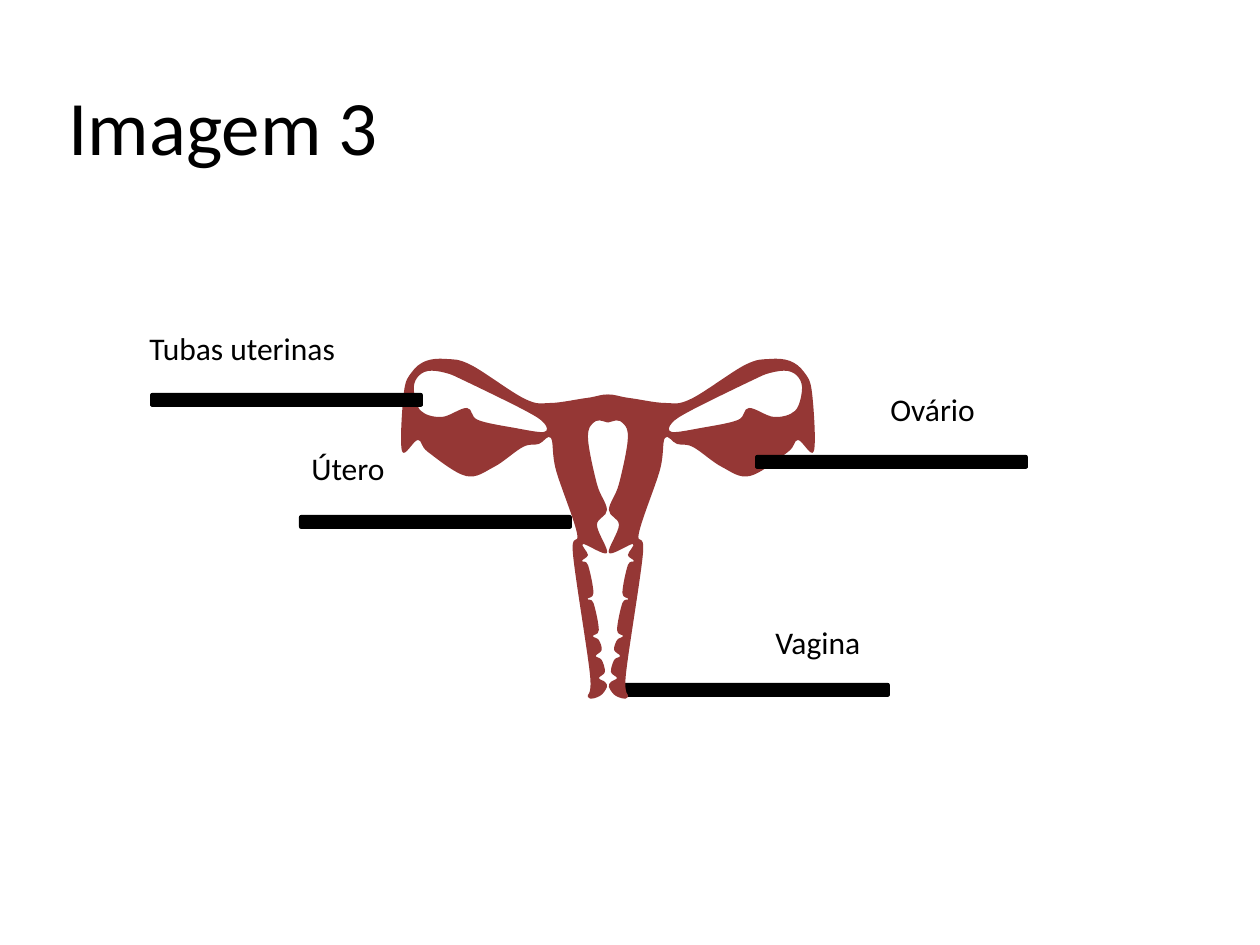
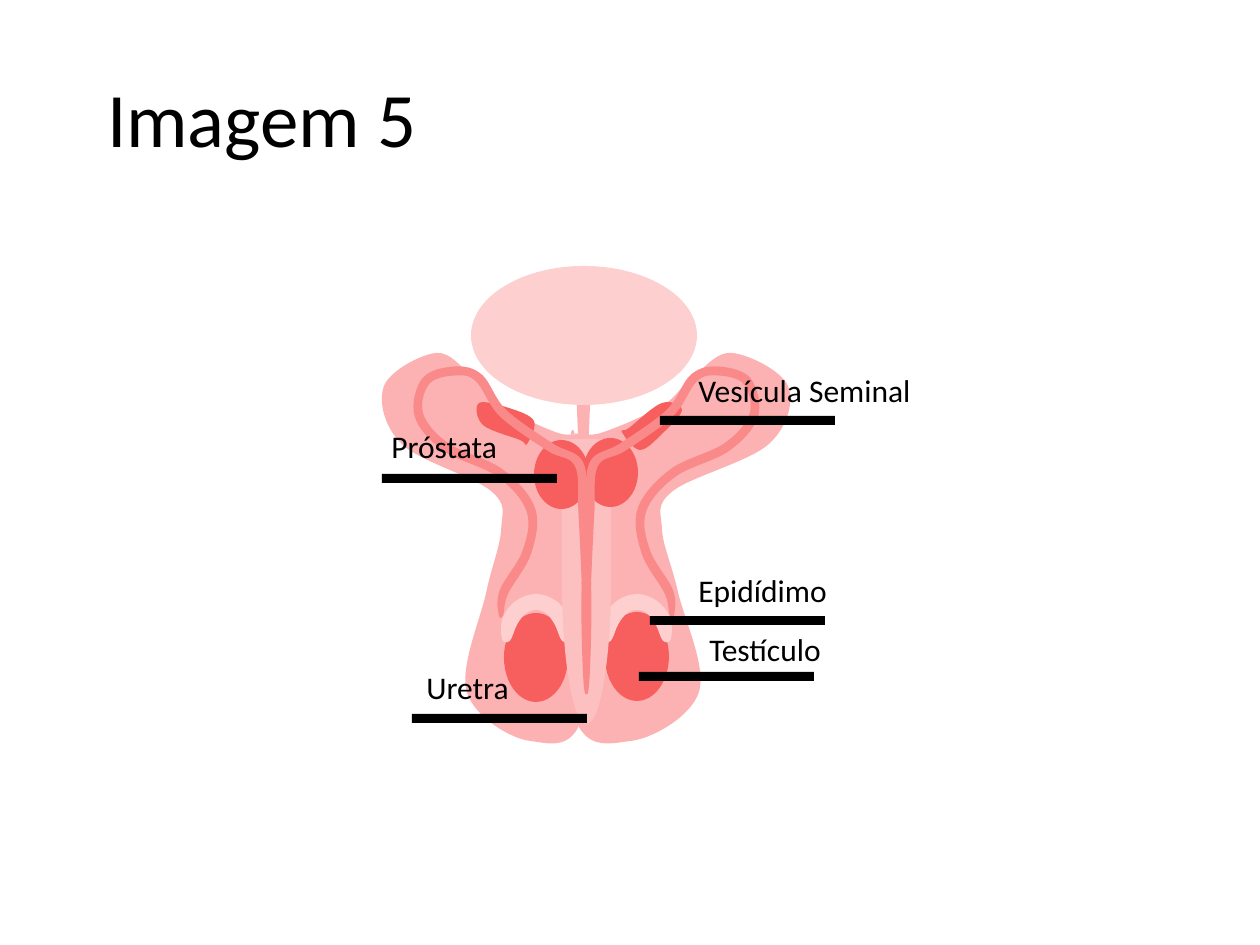
import math

import lxml.etree
import pptx
import pptx.dml.color
import pptx.enum.shapes
import pptx.enum.text
import pptx.oxml.ns
import pptx.util

# ---- Shared style: lengths are pixels, 126 to the inch ----
SCALE = 914400 // 126
FONT = "Calibri"
BLACK, WINE = "000000", "953735"
RED, CORAL, PINK = "F75F5F", "FA8A8A", "FCB2B2"
SOFT_PINK, PALE_PINK = "FCC0C0", "FDCFCF"

Preset = pptx.enum.shapes.MSO_SHAPE
Anchor = pptx.enum.text.MSO_ANCHOR
Align = pptx.enum.text.PP_ALIGN
qn = pptx.oxml.ns.qn

TITLE_STYLE = {
    "frame": {"word_wrap": True, "margin_left": 0, "margin_right": 0,
              "vertical_anchor": Anchor.MIDDLE},
    "paragraph": {"alignment": Align.CENTER},
    "font": {"name": FONT, "size": pptx.util.Pt(44)},
}
LABEL_STYLE = {
    "frame": {"word_wrap": True, "margin_right": 0, "vertical_anchor": Anchor.TOP},
    "paragraph": {"alignment": Align.LEFT},
    "font": {"name": FONT, "size": pptx.util.Pt(18)},
}


def paint(fill, colour):
    """Make a shape's or a font's fill solid in a hex colour."""
    fill.solid()
    fill.fore_color.rgb = pptx.dml.color.RGBColor.from_string(colour)


def draw_outline(slide, contours):
    """Draw closed Catmull-Rom curves through the points of each contour."""
    builder = None
    for contour in contours:
        points = [(x * SCALE, y * SCALE) for x, y in contour]
        count = len(points)
        vertices = []
        for i, start in enumerate(points):
            before, end, after = points[i - 1], points[(i + 1) % count], points[(i + 2) % count]
            # A handle is a sixth of the step between a point's two neighbours.
            vertices += [
                tuple(s + (e - b) / 6 for s, e, b in zip(start, end, before)),
                tuple(e - (a - s) / 6 for e, a, s in zip(end, after, start)),
                end,
            ]
        if builder is None:
            builder = slide.shapes.build_freeform(*points[0], scale=1.0)
        else:
            builder.move_to(*points[0])
        builder.add_line_segments(vertices, close=True)
    shape = builder.convert_to_shape()
    # Every three straight segments (two handles and an end) become one curve.
    lines = list(shape.element.iter(qn("a:lnTo")))
    for i in range(0, len(lines), 3):
        curve = lxml.etree.Element(qn("a:cubicBezTo"))
        lines[i].addprevious(curve)
        for line in lines[i:i + 3]:
            curve.append(line[0])
            line.getparent().remove(line)
    return shape


# ---- Female organs: the left half by parts, then mirrored ----
FEMALE_MIRROR = 1216  # sum of the x values of two mirrored points

fundus = [(446, 359), (471, 365), (525, 399), (551, 403), (587, 398), (611, 396)]
uterine_cavity = [(612, 421), (596, 421), (588, 437), (597, 484), (607, 510),
                  (597, 525), (607, 553), (583, 544)]
vaginal_folds = []
for y in [561, 599, 636, 656, 678]:
    notch = 582 + 0.145 * (y - 561)  # the wall leans towards the middle
    vaginal_folds += [(notch + 6, y - 6), (notch, y), (notch + 6, y + 4)]
vaginal_wall = [(607, 687), (600, 696), (588, 697), (590, 674), (573, 554)]
uterine_wall = [(577, 533), (556, 470), (551, 438), (539, 444)]
ovary = [(523, 447), (494, 467), (466, 476), (428, 452)]
tube_end = [(418, 440), (402, 451), (404, 392), (412, 372), (426, 361)]
tube_opening = [
    (428, 371), (417, 378), (414, 391), (421, 411), (442, 417), (467, 408), (478, 420),
    (515, 428), (544, 432), (544, 423), (524, 410), (465, 381), (446, 373),
]
uterus_left = [
    tube_opening,
    fundus + uterine_cavity + vaginal_folds + vaginal_wall + uterine_wall + ovary + tube_end,
]
uterus_right = [[(FEMALE_MIRROR - x, y) for x, y in contour] for contour in uterus_left]

# ---- Male organs ----
MALE_MIRROR = 1173
BODY_STRETCH = 0.93  # the left half of the body is a little narrower

arm = [(673, 491), (769, 444), (788, 386), (732, 353), (692, 378), (662, 406), (601, 433)]
midline = [(572, 435), (576, 456), (572, 706)]
scrotum = [(631, 741), (699, 692), (678, 592), (662, 529)]
body_right = arm + midline + scrotum
body_left = [(491 + BODY_STRETCH * (673 - x), y) for x, y in body_right]

vesicle_left = [(527, 444), (520, 440), (483, 425), (479, 403), (509, 408), (534, 421)]
vesicle_right = [(622, 432), (629, 428), (662, 403), (682, 410), (663, 433), (640, 450)]

# Ducts and epididymides are ribbons: a centre line widened to both sides.
epididymis_line = [  # half an ellipse over the left testicle
    (536 - 30 * math.cos(math.radians(angle)), 640 - 38 * math.sin(math.radians(angle)))
    for angle in range(0, 181, 30)
]
duct_line = [
    (501, 615), (504, 592), (527, 552), (531, 510), (500, 473), (446, 447), (419, 415),
    (426, 381), (455, 371), (479, 378), (503, 413), (550, 447), (579, 464),
    (583, 512), (587, 600), (587, 684),
]
ribbons = []
for line, half_width in [(epididymis_line, 8), (duct_line, 4.5)]:
    near_side, far_side = [], []
    last = len(line) - 1
    for i, (x, y) in enumerate(line):
        (x1, y1), (x2, y2) = line[max(i - 1, 0)], line[min(i + 1, last)]
        reach = half_width * (0.5 if i in (0, last) else 1) / math.hypot(x2 - x1, y2 - y1)
        across_x, across_y = (y1 - y2) * reach, (x2 - x1) * reach
        near_side.append((x + across_x, y + across_y))
        far_side.append((x - across_x, y - across_y))
    ribbons.append(near_side + far_side[::-1])
epididymis_left, duct_left = ribbons
epididymis_right, duct_right = [[(MALE_MIRROR - x, y) for x, y in side] for side in ribbons]

# ---- Layers from back to front: preset or None, geometry, colour, rotation ----
female_bars = [
    (Preset.ROUNDED_RECTANGLE, (left, top, 273, 14), BLACK, 0)
    for left, top in [(617, 683), (150, 393), (755, 455), (299, 515)]
]
female_layers = [
    female_bars[0],  # the bar of the vagina lies behind the organs
    (None, uterus_left, WINE, 0),
    (None, uterus_right, WINE, 0),
] + female_bars[1:]

male_bars = [
    (Preset.RECTANGLE, (left, top, 175, 9), BLACK, 0)
    for left, top in [(639, 672), (650, 616), (412, 714), (660, 416), (382, 474)]
]
male_layers = [
    (None, [body_right], PINK, 0),
    (Preset.OVAL, (605, 612, 64, 89), RED, 0),  # testicles
    (None, [epididymis_right], PALE_PINK, 0),
    (None, [body_left], PINK, 0),
    (Preset.OVAL, (504, 613, 64, 89), RED, 0),
    (Preset.FLOWCHART_MANUAL_OPERATION, (576, 386, 15, 69), PINK, 0),  # bladder neck
    (Preset.OVAL, (471, 266, 226, 139), PALE_PINK, 0),  # bladder
    (None, [epididymis_left], PALE_PINK, 0),
    (None, [vesicle_left], RED, 0),
    (None, [vesicle_right], RED, 0),
    (Preset.FLOWCHART_DELAY, (444, 557, 285, 49), SOFT_PINK, 90),  # penis
    (Preset.OVAL, (583, 438, 55, 69), RED, 0),  # prostate
    (Preset.OVAL, (534, 440, 55, 69), RED, 0),
    (None, [duct_left], CORAL, 0),
    (None, [duct_right], CORAL, 0),
] + male_bars

# ---- Slides: layers, then texts with box and style ----
slides = [
    (female_layers, [
        ("Imagem 3", (54, 46, 339, 158), TITLE_STYLE),
        ("Vagina", (763, 617, 156, 72), LABEL_STYLE),
        ("Tubas uterinas", (137, 323, 299, 72), LABEL_STYLE),
        ("Ovário", (878, 384, 155, 72), LABEL_STYLE),
        ("Útero", (299, 443, 140, 72), LABEL_STYLE),
    ]),
    (male_layers, [
        ("Imagem 5", (63, 38, 398, 158), TITLE_STYLE),
        ("Testículo", (697, 624, 139, 50), LABEL_STYLE),
        ("Epidídimo", (686, 565, 163, 50), LABEL_STYLE),
        ("Uretra", (414, 662, 108, 50), LABEL_STYLE),
        ("Vesícula Seminal", (686, 365, 241, 50), LABEL_STYLE),
        ("Próstata", (379, 421, 132, 50), LABEL_STYLE),
    ]),
]

presentation = pptx.Presentation()
presentation.slide_width = pptx.util.Inches(10)
presentation.slide_height = pptx.util.Inches(7.5)

for layers, texts in slides:
    slide = presentation.slides.add_slide(presentation.slide_layouts[6])
    for preset, geometry, colour, rotation in layers:
        if preset is None:
            shape = draw_outline(slide, geometry)
        else:
            shape = slide.shapes.add_shape(preset, *(length * SCALE for length in geometry))
        shape.rotation = rotation
        shape.shadow.inherit = False
        shape.line.fill.background()
        paint(shape.fill, colour)

    for text, box, style in texts:
        frame = slide.shapes.add_textbox(*(length * SCALE for length in box)).text_frame
        paragraph = frame.paragraphs[0]
        run = paragraph.add_run()
        run.text = text
        targets = {"frame": frame, "paragraph": paragraph, "font": run.font}
        for part, values in style.items():
            for name, value in values.items():
                setattr(targets[part], name, value)
        paint(run.font.fill, BLACK)

presentation.save("out.pptx")
